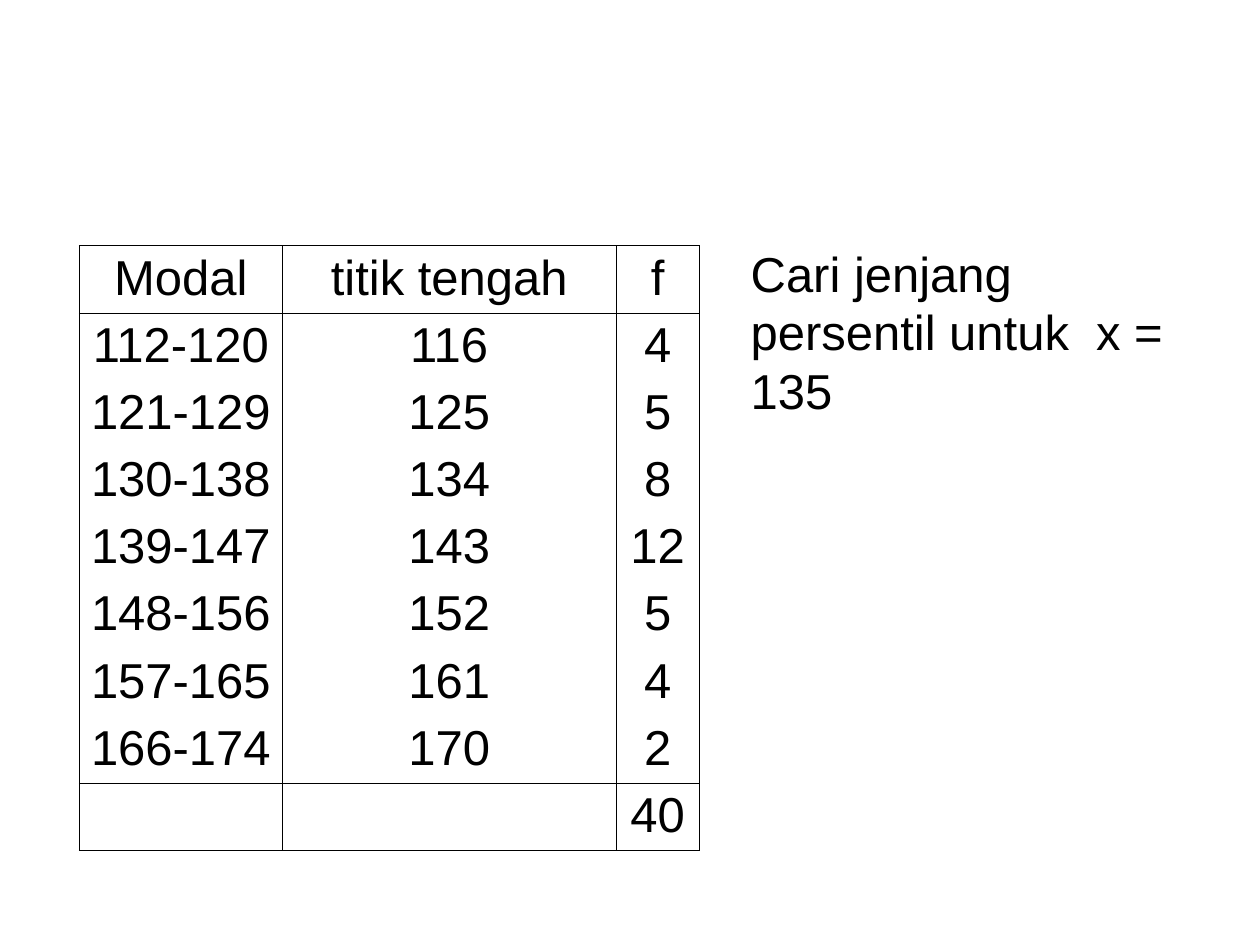
from lxml import etree
from pptx import Presentation
from pptx import util as u
from pptx.dml.color import RGBColor
from pptx.enum import text
from pptx.oxml.ns import qn


def write(frame, words, size=28, font="Arial", color="000000", align="LEFT"):
    para = frame.paragraphs[0]
    para.alignment = getattr(text.PP_ALIGN, align)
    run = para.add_run()
    run.text = words
    run.font.size = u.Pt(size)
    run.font.name = font
    run.font.color.rgb = RGBColor.from_string(color)


def border(cell, side, width, color="000000"):
    line = etree.SubElement(cell._tc.get_or_add_tcPr(), qn("a:ln" + side))
    line.set("w", str(u.Pt(width)))
    if width:
        fill = etree.SubElement(line, qn("a:solidFill"))
        etree.SubElement(fill, qn("a:srgbClr")).set("val", color)
    else:
        etree.SubElement(line, qn("a:noFill"))


prs = Presentation()
prs.slide_width, prs.slide_height = u.Inches(10), u.Inches(7.5)
slide = prs.slides.add_slide(prs.slide_layouts[6])

rows = [("Modal", "titik tengah", "f")]
for i, freq in enumerate([4, 5, 8, 12, 5, 4, 2]):
    low = 112 + 9 * i
    rows.append((f"{low}-{low + 8}", str(low + 4), str(freq)))
rows.append(("", "", "40"))
last = len(rows) - 1

table = slide.shapes.add_table(
    len(rows), 3, u.Inches(0.63), u.Inches(1.95), u.Inches(4.92), u.Inches(4.8)
).table
table.first_row = table.horz_banding = False
for col, width in zip(table.columns, [1.61, 2.65, 0.66]):
    col.width = u.Inches(width)

for r, row in enumerate(rows):
    for c, words in enumerate(row):
        cell = table.cell(r, c)
        cell.margin_left = cell.margin_right = u.Inches(0.01)
        cell.margin_top = cell.margin_bottom = u.Inches(0.04)
        border(cell, "L", 0.45 if c else 0.75)
        border(cell, "R", 0.45)
        border(cell, "T", {0: 0.75, 1: 0.45, last: 0.45}.get(r, 0))
        border(cell, "B", {0: 0.45, last - 1: 0.45, last: 0.75}.get(r, 0))
        cell.fill.background()
        if words:
            write(cell.text_frame, words, align="CENTER")

task = slide.shapes.add_textbox(
    u.Inches(5.86), u.Inches(1.88), u.Inches(3.67), u.Inches(1.5)
).text_frame
task.word_wrap = True
task.auto_size = text.MSO_AUTO_SIZE.SHAPE_TO_FIT_TEXT
write(task, "Cari jenjang persentil untuk  x = 135")

prs.save("out.pptx")
